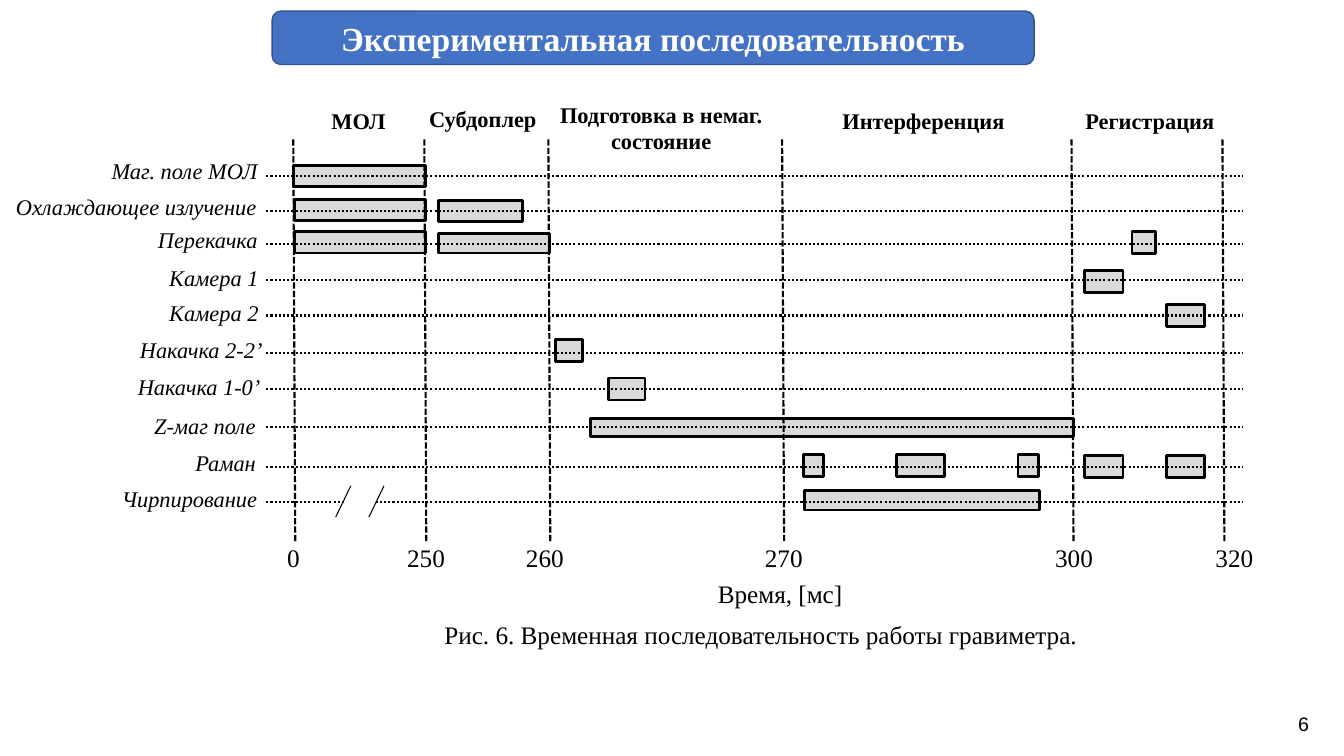
from dataclasses import dataclass

from lxml.etree import SubElement
from pptx import Presentation
from pptx.dml.color import RGBColor
from pptx.enum.dml import MSO_LINE
from pptx.enum.shapes import MSO_CONNECTOR, MSO_SHAPE
from pptx.enum.text import MSO_ANCHOR, MSO_AUTO_SIZE, PP_ALIGN
from pptx.oxml.ns import qn
from pptx.shapes.autoshape import Shape
from pptx.slide import Slide
from pptx.text.text import TextFrame
from pptx.util import Pt

BLACK = RGBColor(0x00, 0x00, 0x00)
WHITE = RGBColor(0xFF, 0xFF, 0xFF)
PULSE_GRAY = RGBColor(0xD9, 0xD9, 0xD9)
TITLE_BLUE = RGBColor(0x44, 0x72, 0xC4)
TITLE_BORDER = RGBColor(0x31, 0x53, 0x8F)
SERIF = "Times New Roman"
ROW_START, ROW_END = 190.2, 888
MARK_TOP, MARK_BOTTOM, MARK_LEAN = 99.6, 387.4, 1.4


@dataclass(frozen=True)
class Box:
    left: float
    top: float
    width: float
    height: float


@dataclass(frozen=True)
class Pulse:
    left: float
    top: float
    width: float
    height: float = 15.8


@dataclass(frozen=True)
class Channel:
    name: str
    label_left: float
    label_top: float
    line_y: float
    pulses: tuple[Pulse, ...]
    label_width: float = 139.7


@dataclass(frozen=True)
class Phase:
    name: str
    box: Box


@dataclass(frozen=True)
class TimeMark:
    text: str
    line_x: float
    label_left: float


CHANNELS = (
    Channel("Маг. поле МОЛ", 72.7, 108.7, 126, (Pulse(209.5, 118.1, 94.3, 15.1),)),
    Channel("Охлаждающее излучение", 4.3, 134.6, 150.5,
            (Pulse(210.2, 142.6, 93.6, 15.1), Pulse(313.2, 143.3, 59.8, 15.1)), 203.8),
    Channel("Перекачка", 105.8, 157.7, 174.2,
            (Pulse(210.2, 165.6, 93.6, 15.1), Pulse(313.2, 167, 79.2, 13.7),
             Pulse(808.6, 165.6, 16.6))),
    Channel("Камера 1", 113.8, 185, 200.2, (Pulse(774.7, 193, 27.4),)),
    Channel("Камера 2", 113.8, 210.2, 225.4, (Pulse(833, 217.4, 27.4),)),
    Channel("Накачка 2-2’", 92.9, 236.9, 252, (Pulse(396.7, 242.6, 19.4),)),
    Channel("Накачка 1-0’", 91.4, 262.8, 277.9, (Pulse(434.9, 270, 25.9),)),
    Channel("Z-маг поле", 103, 290.9, 305.3, (Pulse(421.9, 298.8, 344.9, 13),)),
    Channel("Раман", 132.5, 317.5, 333.4,
            (Pulse(573.8, 324.7, 14.4), Pulse(640.1, 324.7, 34.6), Pulse(727.2, 324.7, 14.4),
             Pulse(774.7, 325.4, 27.4), Pulse(833, 325.4, 27.4))),
    Channel("Чирпирование", 79.9, 342.7, 358.6, (Pulse(574.6, 350.6, 167.8, 13.7),)),
)
PHASES = (
    Phase("МОЛ", Box(229.7, 72.7, 139.7, 26.6)),
    Phase("Субдоплер", Box(299.5, 71.3, 139.7, 26.6)),
    Phase("Подготовка в немаг. состояние", Box(385.2, 68.4, 174.2, 46.1)),
    Phase("Интерференция", Box(594.7, 72.7, 139.7, 26.6)),
    Phase("Регистрация", Box(768.2, 72.7, 139.7, 26.6)),
)
TIME_MARKS = (
    TimeMark("0", 209.5, 198),
    TimeMark("250", 303.1, 283.7),
    TimeMark("260", 391.7, 368.6),
    TimeMark("270", 558.7, 539.3),
    TimeMark("300", 765.4, 746.6),
    TimeMark("320", 873.2, 861.1),
)


def write(frame: TextFrame, text: str, size: float, font_name: str = SERIF,
          color: RGBColor = BLACK, bold: bool = False, italic: bool = False,
          centered: bool = False) -> None:
    frame.word_wrap = True
    paragraph = frame.paragraphs[0]
    paragraph.text = text
    paragraph.alignment = PP_ALIGN.CENTER if centered else PP_ALIGN.LEFT
    font = paragraph.font
    font.name, font.size, font.bold, font.italic = font_name, Pt(size), bold, italic
    font.color.rgb = color


def add_label(slide: Slide, box: Box, text: str, size: float, font_name: str = SERIF,
              bold: bool = False, italic: bool = False, centered: bool = False) -> None:
    label = slide.shapes.add_textbox(Pt(box.left), Pt(box.top), Pt(box.width), Pt(box.height))
    label.text_frame.auto_size = MSO_AUTO_SIZE.SHAPE_TO_FIT_TEXT
    write(label.text_frame, text, size, font_name, bold=bold, italic=italic, centered=centered)


def add_block(slide: Slide, box: Box | Pulse, fill: RGBColor, border: RGBColor | None = None,
              border_width: float = 2, kind: MSO_SHAPE = MSO_SHAPE.RECTANGLE) -> Shape:
    shape = slide.shapes.add_shape(kind, Pt(box.left), Pt(box.top), Pt(box.width), Pt(box.height))
    shape.shadow.inherit = False
    shape.fill.solid()
    shape.fill.fore_color.rgb = fill
    if border is None:
        shape.line.fill.background()
    else:
        shape.line.color.rgb = border
        shape.line.width = Pt(border_width)
    return shape


def add_line(slide: Slide, start: tuple[float, float], end: tuple[float, float],
             width: float = 1.5, dash: MSO_LINE | None = None) -> None:
    line = slide.shapes.add_connector(
        MSO_CONNECTOR.STRAIGHT, Pt(start[0]), Pt(start[1]), Pt(end[0]), Pt(end[1]))
    line.line.color.rgb = BLACK
    line.line.width = Pt(width)
    line.line.dash_style = dash
    SubElement(line._element.spPr, qn("a:effectLst"))


def add_title(slide: Slide) -> None:
    title = add_block(slide, Box(194.4, 7.9, 544.3, 38.2), TITLE_BLUE, TITLE_BORDER, 1,
                      MSO_SHAPE.ROUNDED_RECTANGLE)
    title.text_frame.vertical_anchor = MSO_ANCHOR.MIDDLE
    write(title.text_frame, "Экспериментальная последовательность", 24,
          color=WHITE, bold=True, centered=True)


def add_channels(slide: Slide) -> None:
    for channel in CHANNELS:
        for pulse in channel.pulses:
            add_block(slide, pulse, PULSE_GRAY, BLACK)
        add_line(slide, (ROW_START, channel.line_y), (ROW_END, channel.line_y),
                 dash=MSO_LINE.ROUND_DOT)
        add_label(slide, Box(channel.label_left, channel.label_top, channel.label_width, 26.6),
                  channel.name, 16, italic=True)


def add_axis_break(slide: Slide) -> None:
    """Interrupt the last channel line between two slanted strokes."""
    gap = add_block(slide, Box(247.7, 344.9, 18.7, 26.6), WHITE)
    gap.rotation = 25.6
    for stroke_top_x in (250.6, 274.3):
        add_line(slide, (stroke_top_x, 347), (stroke_top_x - 10.8, 369.4), width=0.75)


def add_time_marks(slide: Slide) -> None:
    for mark in TIME_MARKS:
        add_line(slide, (mark.line_x, MARK_TOP), (mark.line_x + MARK_LEAN, MARK_BOTTOM),
                 dash=MSO_LINE.SQUARE_DOT)
        add_label(slide, Box(mark.label_left, 383.6, 60, 29), mark.text, 18)


def main() -> None:
    presentation = Presentation()
    presentation.slide_width, presentation.slide_height = Pt(960), Pt(540)
    slide = presentation.slides.add_slide(presentation.slide_layouts[6])
    add_title(slide)
    add_channels(slide)
    add_axis_break(slide)
    add_time_marks(slide)
    for phase in PHASES:
        add_label(slide, phase.box, phase.name, 16, bold=True,
                  centered=phase.box.height > 30)
    add_label(slide, Box(234.7, 409.7, 645.1, 29), "Время, [мс]", 18, centered=True)
    add_label(slide, Box(221, 438.5, 645.1, 29),
              "Рис. 6. Временная последовательность работы гравиметра.", 18, centered=True)
    add_label(slide, Box(920.2, 504.7, 28.1, 24.5), "6", 14, font_name="Arial")
    presentation.save("out.pptx")


if __name__ == "__main__":
    main()
